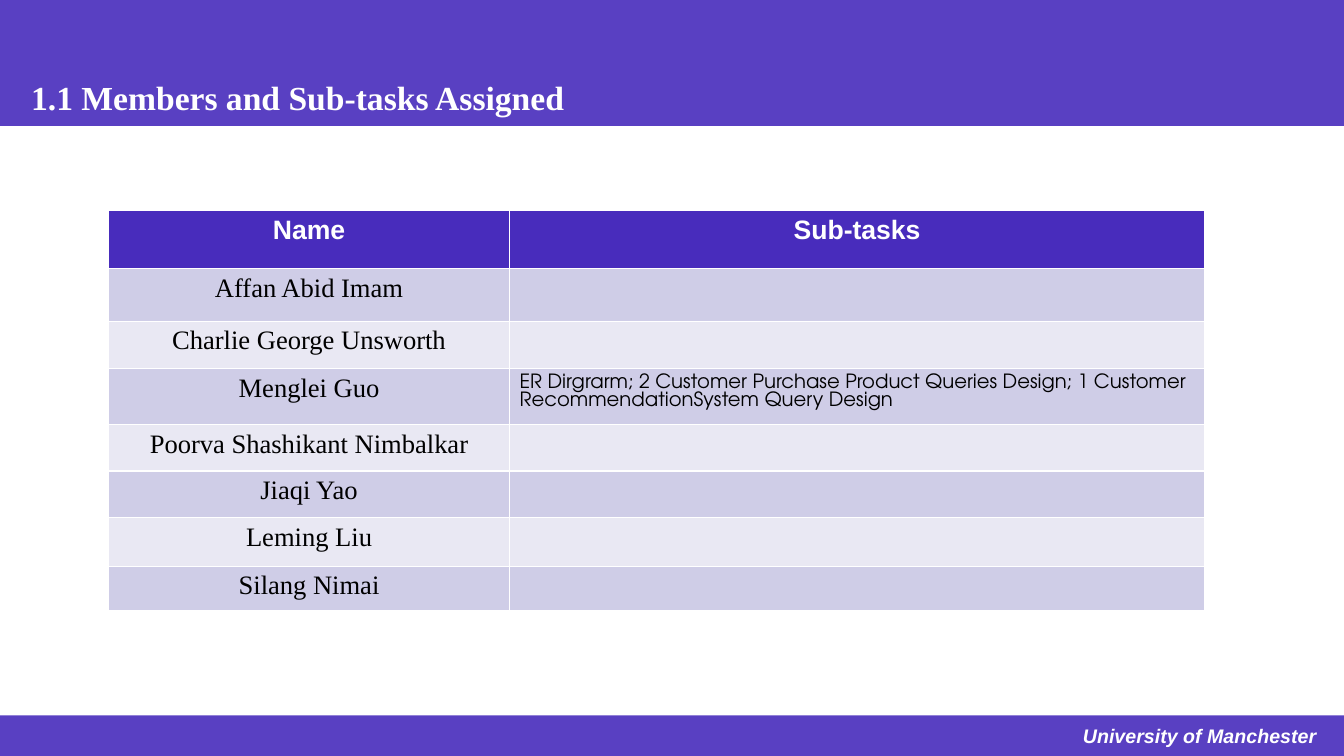
"""Build the slide that lists members and their sub-tasks."""
import pptx
import pptx.util
import pptx.dml.color
import pptx.enum.shapes
import pptx.enum.text
import pptx.oxml
import pptx.oxml.ns

Pt = pptx.util.Pt
RGBColor = pptx.dml.color.RGBColor
ALIGN = pptx.enum.text.PP_ALIGN
TOP = pptx.enum.text.MSO_ANCHOR.TOP

PURPLE = RGBColor(0x48, 0x2C, 0xBC)
LILAC = RGBColor(0xCF, 0xCD, 0xE7)
PALE = RGBColor(0xE9, 0xE8, 0xF3)
WHITE = RGBColor(0xFF, 0xFF, 0xFF)
BLACK = RGBColor(0, 0, 0)

TITLE = "1.1 Members and Sub-tasks Assigned"
FOOTER = "University of Manchester"
ROWS = [
    ("Name", "Sub-tasks"),
    ("Affan Abid Imam", ""),
    ("Charlie George Unsworth", ""),
    ("Menglei Guo", "ER Dirgrarm; 2 Customer Purchase Product Queries Design; "
                    "1 Customer RecommendationSystem Query Design"),
    ("Poorva Shashikant Nimbalkar", ""),
    ("Jiaqi Yao", ""),
    ("Leming Liu", ""),
    ("Silang Nimai", ""),
]
WIDTHS = [286.5, 496.5]
HEIGHTS = [42, 37.5, 34, 40, 33, 33.5, 34.5, 32]
WIDE, HIGH = 960, 540
BANDS = [(0, 90), (511, 29)]

HEAD = {"name": "Arial", "size": Pt(19), "bold": True, "color": WHITE}
NAME = {"name": "Times New Roman", "size": Pt(19), "bold": False, "color": BLACK}
TASK = {"name": "TeX Gyre Adventor", "size": Pt(14), "bold": False, "color": BLACK}
BIG = {"name": "Times New Roman", "size": Pt(24), "bold": True, "color": WHITE}
FOOT = {"name": "Arial", "size": Pt(14), "bold": True, "italic": True, "color": WHITE}


def write(frame, text, form, align):
    """Put formatted text into a frame."""
    para = frame.paragraphs[0]
    para.alignment = align
    run = para.add_run()
    run.text = text
    for key, value in form.items():
        if key == "color":
            run.font.color.rgb = value
        else:
            setattr(run.font, key, value)
    return para


def place(shape, left, top, width, height):
    """Set the bounds of a shape in points."""
    box = {"left": left, "top": top, "width": width, "height": height}
    for key, value in box.items():
        setattr(shape, key, Pt(value))


def add_bands(slide):
    """Draw the see-through bands behind the title."""
    for top, height in BANDS:
        band = slide.shapes.add_shape(
            pptx.enum.shapes.MSO_SHAPE.RECTANGLE, 0, Pt(top), Pt(WIDE), Pt(height))
        band.shadow.inherit = False
        band.fill.solid()
        band.fill.fore_color.rgb = PURPLE
        band.line.fill.background()
        tint = band.element.find(".//" + pptx.oxml.ns.qn("a:srgbClr"))
        tint.append(pptx.oxml.parse_xml(
            '<a:alpha %s val="90000"/>' % pptx.oxml.ns.nsdecls("a")))
        slide.shapes.title.element.addprevious(band.element)


def add_grid(slide):
    """Draw the table of members."""
    grid = slide.shapes.add_table(
        len(ROWS), len(WIDTHS), Pt(77.5), Pt(150),
        Pt(sum(WIDTHS)), Pt(sum(HEIGHTS))).table
    for col, width in zip(grid.columns, WIDTHS):
        col.width = Pt(width)
    for row, height in zip(grid.rows, HEIGHTS):
        row.height = Pt(height)
    for r, texts in enumerate(ROWS):
        for c, text in enumerate(texts):
            cell = grid.cell(r, c)
            cell.fill.solid()
            cell.fill.fore_color.rgb = (PALE, LILAC)[r % 2] if r else PURPLE
            if not text:
                continue
            form = (NAME, TASK)[c] if r else HEAD
            align = ALIGN.LEFT if form is TASK else ALIGN.CENTER
            para = write(cell.text_frame, text, form, align)
            if form is TASK:
                para.line_spacing = Pt(13)


def main():
    """Build and save the slide."""
    deck = pptx.Presentation()
    deck.slide_width, deck.slide_height = Pt(WIDE), Pt(HIGH)
    slide = deck.slides.add_slide(deck.slide_layouts[5])
    add_bands(slide)
    title = slide.shapes.title
    place(title, 15, 51, 445, 60)
    title.text_frame.vertical_anchor = TOP
    write(title.text_frame, TITLE, BIG, ALIGN.LEFT)
    foot = slide.shapes.add_textbox(Pt(691), Pt(513.5), Pt(256.5), Pt(24.5))
    foot.text_frame.word_wrap = True
    write(foot.text_frame, FOOTER, FOOT, ALIGN.RIGHT)
    add_grid(slide)
    deck.save("out.pptx")


if __name__ == "__main__":
    main()
